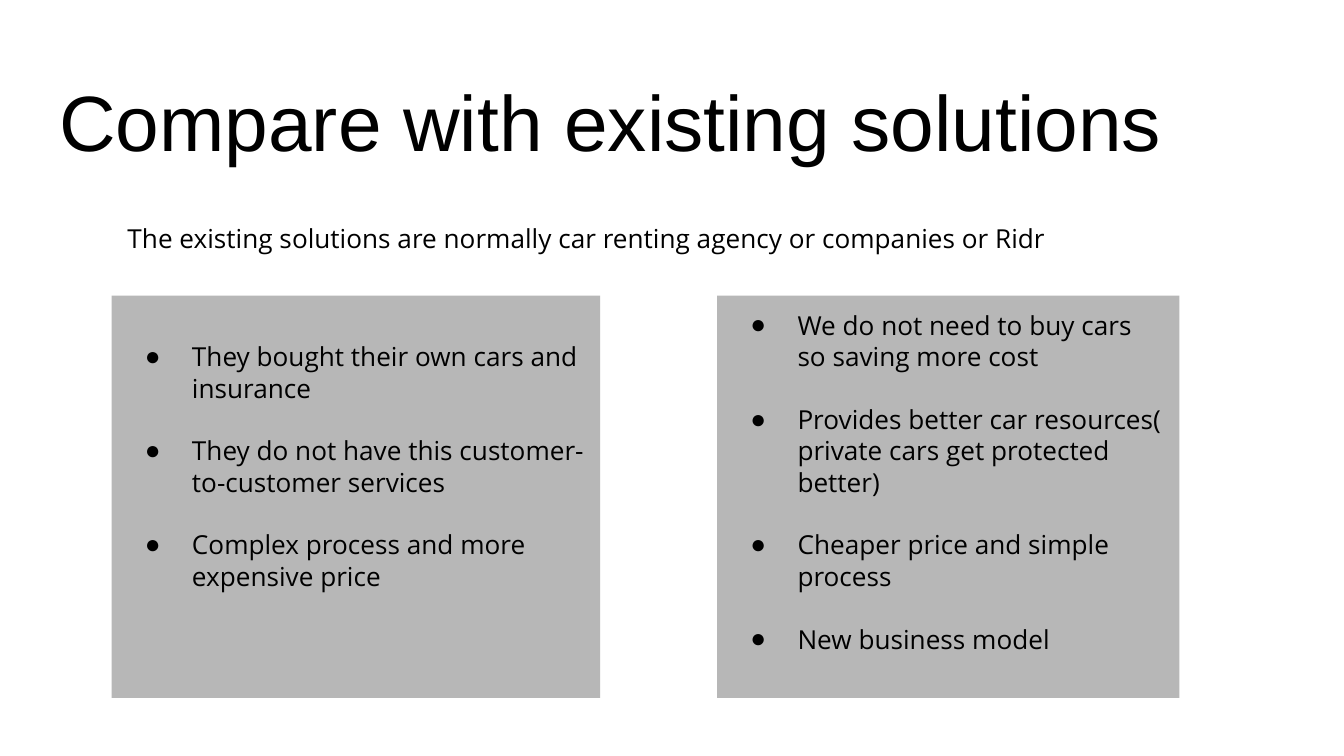
from lxml import etree
from pptx import Presentation
from pptx.dml.color import RGBColor
from pptx.enum.shapes import MSO_SHAPE
from pptx.enum.text import MSO_ANCHOR, MSO_AUTO_SIZE, PP_ALIGN
from pptx.oxml.ns import qn
from pptx.util import Inches, Pt

RECT = MSO_SHAPE.RECTANGLE
TOP, BOTTOM = MSO_ANCHOR.TOP, MSO_ANCHOR.BOTTOM
LEFT = PP_ALIGN.LEFT
NO_FIT = MSO_AUTO_SIZE.NONE

BLACK = RGBColor(0x00, 0x00, 0x00)
GRAY = RGBColor(0xB7, 0xB7, 0xB7)

WIDTH = Inches(10)
HEIGHT = WIDTH * 9 // 16
INSET = Inches(0.1)
INDENT, HANGING = Inches(0.5), Inches(-0.35)
LINE = Pt(16.8)  # one line of 14 pt body text

TITLE_FONT = {"name": "Arial", "size": Pt(42), "bold": False}
BODY_FONT = {"name": "Open Sans", "size": Pt(14), "bold": False}
BULLET_FONT = "Arial"

# Left, top, width and height in percent of the slide
TITLE_BOX = (3.4, 12.7, 93.2, 11.2)
INTRO_BOX = (3.5, 27.65, 88.1, 9.1)
PANEL_TOP, PANEL_HEIGHT = 39.12, 53.2
THEIRS_BOX = (8.3, PANEL_TOP, 36.35, PANEL_HEIGHT)
OURS_BOX = (53.36, PANEL_TOP, 34.4, PANEL_HEIGHT)

TITLE = "Compare with existing solutions"
INTRO = "The existing solutions are normally car renting agency or companies or Ridr"
THEIRS = [
    "They bought their own cars and insurance",
    "They do not have this customer-to-customer services",
    "Complex process and more expensive price",
]
OURS = [
    "We do not need to buy cars so saving more cost",
    "Provides better car resources( private cars get protected better)",
    "Cheaper price and simple process",
    "New business model",
]


def place(box):
    """Turn percentages of the slide into left, top, width and height."""
    return [int(side * share / 100)
            for side, share in zip((WIDTH, HEIGHT) * 2, box)]


def set_frame(tf, anchor=TOP, top_inset=INSET):
    values = {"word_wrap": True, "auto_size": NO_FIT, "vertical_anchor": anchor,
              "margin_left": INSET, "margin_right": INSET,
              "margin_top": top_inset, "margin_bottom": INSET}
    for name, value in values.items():
        setattr(tf, name, value)


def write(p, text, font, indent=0, bullet=False):
    p.alignment = LEFT
    p_pr = p._p.get_or_add_pPr()
    p_pr.set("marL", str(indent))
    p_pr.set("indent", str(HANGING if bullet else 0))
    if bullet:
        color = etree.SubElement(p_pr, qn("a:buClr"))
        etree.SubElement(color, qn("a:srgbClr"), val=str(BLACK))
        etree.SubElement(p_pr, qn("a:buFont"), typeface=BULLET_FONT)
        etree.SubElement(p_pr, qn("a:buChar"), char="●")
    r = p.add_run()
    r.text = text
    for name, value in font.items():
        setattr(r.font, name, value)
    r.font.color.rgb = BLACK


def add_title(slide, box):
    sp = slide.shapes.title
    sp.left, sp.top, sp.width, sp.height = place(box)
    set_frame(sp.text_frame, BOTTOM)
    write(sp.text_frame.paragraphs[0], TITLE, TITLE_FONT)


def add_intro(slide, box):
    tf = slide.shapes.add_textbox(*place(box)).text_frame
    set_frame(tf)
    write(tf.paragraphs[0], INTRO, BODY_FONT, INDENT)


def add_panel(slide, box, points, lead=0):
    """Add a grey panel of bullets, starting `lead` below the top inset."""
    sp = slide.shapes.add_shape(RECT, *place(box))
    sp.shadow.inherit = False
    sp.fill.solid()
    sp.fill.fore_color.rgb = GRAY
    sp.line.fill.background()
    tf = sp.text_frame
    set_frame(tf, top_inset=INSET + lead)
    for i, point in enumerate(points):
        p = tf.add_paragraph() if i else tf.paragraphs[0]
        if i:
            p.space_before = LINE
        write(p, point, BODY_FONT, INDENT, bullet=True)


def main():
    prs = Presentation()
    prs.slide_width, prs.slide_height = WIDTH, HEIGHT
    slide = prs.slides.add_slide(prs.slide_layouts[5])
    add_title(slide, TITLE_BOX)
    add_panel(slide, THEIRS_BOX, THEIRS, lead=LINE)
    add_intro(slide, INTRO_BOX)
    add_panel(slide, OURS_BOX, OURS)
    prs.save("out.pptx")


if __name__ == "__main__":
    main()
